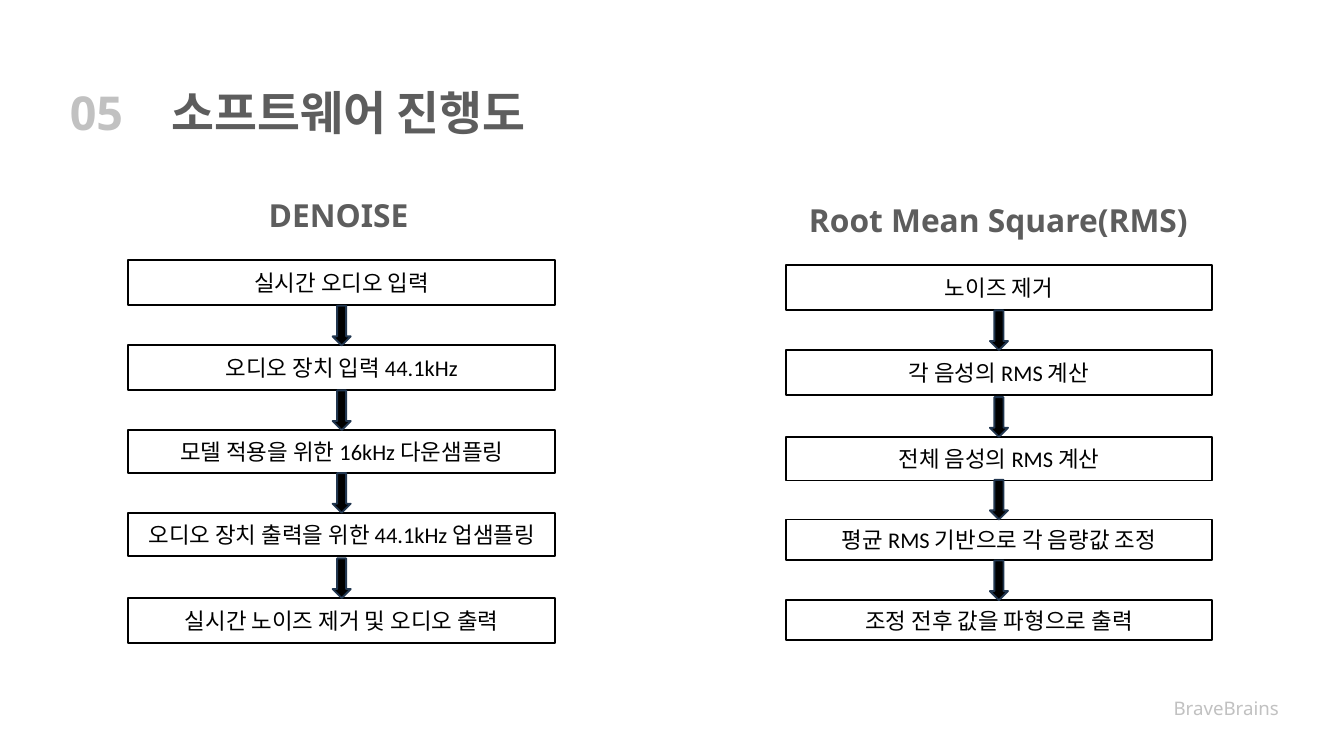
"""Build the software flow slide with its two processing charts."""
from dataclasses import dataclass

from pptx import Presentation
from pptx.dml.color import RGBColor
from pptx.enum import shapes, text
from pptx.util import Pt

GREY, PALE, BLACK, WHITE, NAVY = "5D5D5D", "C1C1C1", "000000", "FFFFFF", "21364F"
BOX_WIDTH = 457.2
ARROW_WIDTH, ARROW_HEIGHT = 19.4, 42.5


@dataclass(frozen=True)
class Frame:
    left: float
    top: float
    width: float
    height: float

    def lengths(self) -> list:
        return [Pt(value) for value in (self.left, self.top, self.width, self.height)]


@dataclass(frozen=True)
class Label:
    words: str
    frame: Frame
    size: float
    color: str
    bold: bool = True
    align: text.PP_ALIGN = text.PP_ALIGN.LEFT


@dataclass(frozen=True)
class Step:
    words: str
    top: float
    height: float


@dataclass(frozen=True)
class Flow:
    left: float
    heading: Label
    steps: tuple


def rgb(value: str) -> RGBColor:
    return RGBColor.from_string(value)


def write(shape, words: str, size: float, color: str, font: str, bold: bool, align) -> None:
    frame = shape.text_frame
    frame_format = {
        "word_wrap": True,
        "vertical_anchor": text.MSO_ANCHOR.MIDDLE,
        "margin_left": Pt(7.2),
        "margin_right": Pt(7.2),
        "margin_top": Pt(3.6),
        "margin_bottom": Pt(3.6),
    }
    for name, value in frame_format.items():
        setattr(frame, name, value)
    paragraph = frame.paragraphs[0]
    paragraph.alignment = align
    run = paragraph.add_run()
    run.text = words
    for name, value in {"size": Pt(size), "name": font, "bold": bold}.items():
        setattr(run.font, name, value)
    run.font.color.rgb = rgb(color)


def draw_label(slide, label: Label, shape=None) -> None:
    shape = shape or slide.shapes.add_textbox(*label.frame.lengths())
    for name, value in zip(("left", "top", "width", "height"), label.frame.lengths()):
        setattr(shape, name, value)
    write(shape, label.words, label.size, label.color, "Noto Sans", label.bold, label.align)
    shape.text_frame.auto_size = text.MSO_AUTO_SIZE.SHAPE_TO_FIT_TEXT


def draw_shape(slide, kind, frame: Frame, fill: str, line: str):
    shape = slide.shapes.add_shape(kind, *frame.lengths())
    shape.shadow.inherit = False
    shape.fill.solid()
    shape.fill.fore_color.rgb = rgb(fill)
    shape.line.color.rgb = rgb(line)
    shape.line.width = Pt(2)
    return shape


def draw_flow(slide, flow: Flow) -> None:
    draw_label(slide, flow.heading)
    for step in flow.steps:
        frame = Frame(flow.left, step.top, BOX_WIDTH, step.height)
        box = draw_shape(slide, shapes.MSO_SHAPE.RECTANGLE, frame, WHITE, BLACK)
        write(box, step.words, 24, BLACK, "Calibri", False, text.PP_ALIGN.CENTER)
    arrow_left = flow.left + (BOX_WIDTH - ARROW_WIDTH) / 2
    for step in flow.steps[1:]:
        frame = Frame(arrow_left, step.top - ARROW_HEIGHT, ARROW_WIDTH, ARROW_HEIGHT)
        draw_shape(slide, shapes.MSO_SHAPE.DOWN_ARROW, frame, BLACK, NAVY)


TITLE = Label("소프트웨어 진행도", Frame(176.4, 85.7, 859.7, 67.7), 50, GREY)
NUMBER = Label("05", Frame(67.7, 85.7, 86.4, 67.7), 50, PALE)
TEAM = Label("BraveBrains", Frame(763.2, 738, 614.2, 41.8), 20, PALE, False, text.PP_ALIGN.RIGHT)
FLOWS = (
    Flow(137.5, Label("DENOISE", Frame(280.8, 205.9, 172.8, 48.2), 34, GREY), (
        Step("실시간 오디오 입력", 278.6, 48.2),
        Step("오디오 장치 입력 44.1kHz", 370.1, 48.2),
        Step("모델 적용을 위한 16kHz 다운샘플링", 460.8, 46.1),
        Step("오디오 장치 출력을 위한 44.1kHz 업샘플링", 549.4, 46.8),
        Step("실시간 노이즈 제거 및 오디오 출력", 640.8, 48.2),
    )),
    Flow(841.7, Label("Root Mean Square(RMS)", Frame(859.7, 211.7, 425.5, 48.2), 34, GREY), (
        Step("노이즈 제거", 284.4, 47.5),
        Step("각 음성의 RMS 계산", 375.1, 48.2),
        Step("전체 음성의 RMS 계산", 468, 46.8),
        Step("평균 RMS 기반으로 각 음량값 조정", 556.6, 43.2),
        Step("조정 전후 값을 파형으로 출력", 643, 43.2),
    )),
)


def main() -> None:
    presentation = Presentation()
    presentation.slide_width, presentation.slide_height = Pt(1440), Pt(810)
    slide = presentation.slides.add_slide(presentation.slide_layouts[5])
    draw_label(slide, TITLE, slide.shapes.title)
    for label in (NUMBER, TEAM):
        draw_label(slide, label)
    for flow in FLOWS:
        draw_flow(slide, flow)
    presentation.save("out.pptx")


if __name__ == "__main__":
    main()
